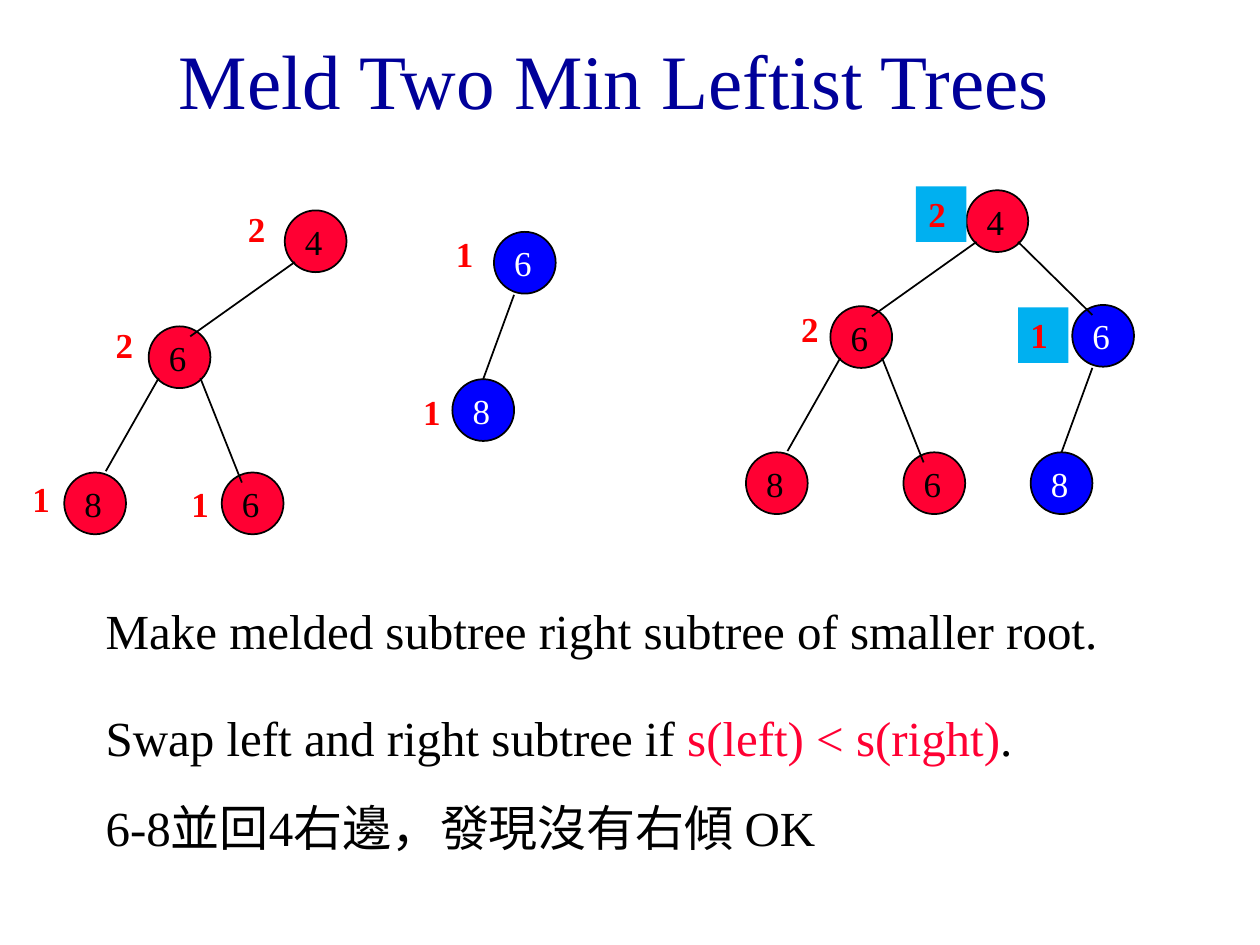
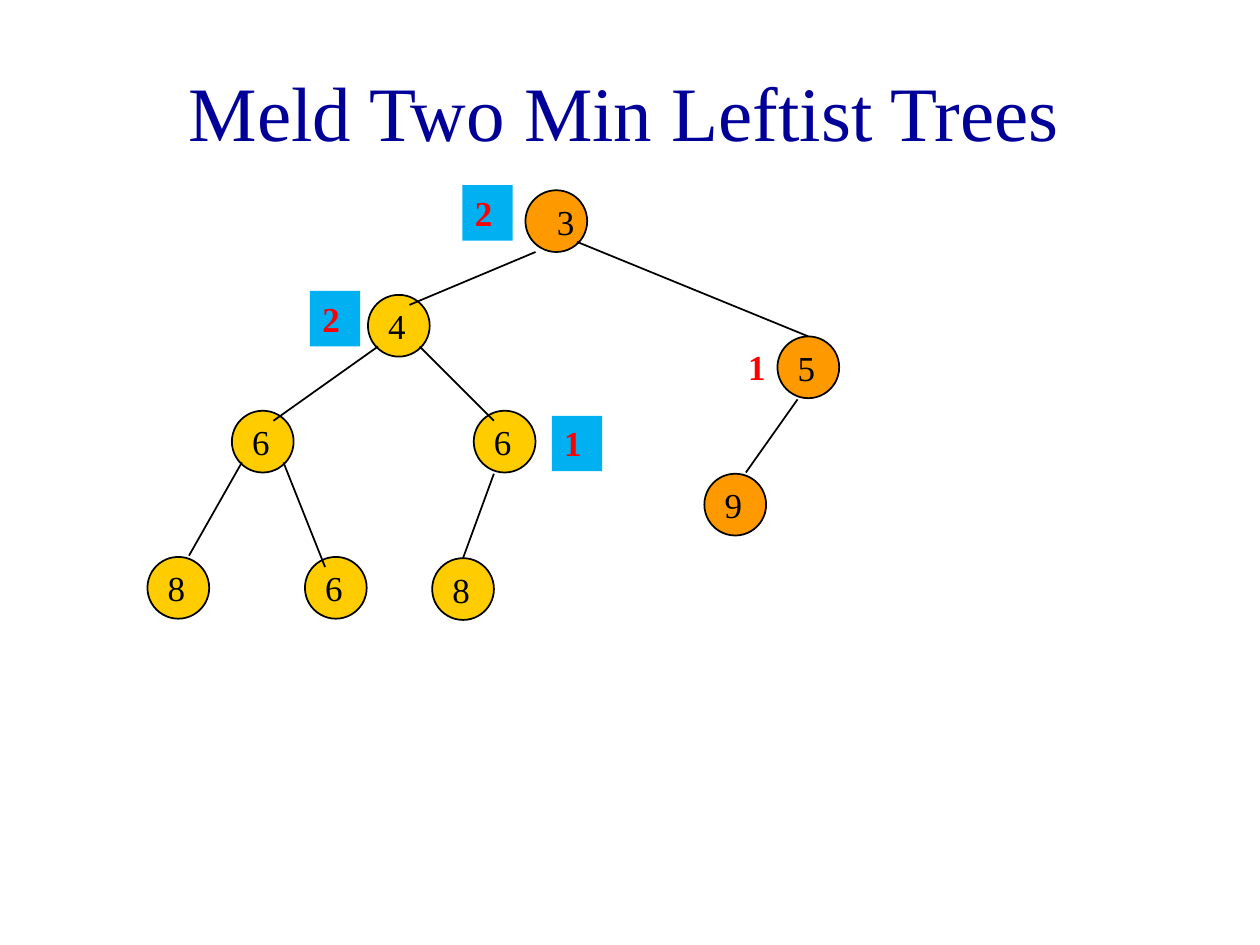
"""Build two slides that meld two min leftist trees."""
from dataclasses import dataclass

from lxml import etree
from pptx import Presentation
from pptx.dml.color import RGBColor
from pptx.enum.shapes import MSO_CONNECTOR, MSO_SHAPE
from pptx.enum.text import MSO_ANCHOR, PP_ALIGN
from pptx.oxml.ns import qn
from pptx.util import Inches, Pt

OVAL, RECT = MSO_SHAPE.OVAL, MSO_SHAPE.RECTANGLE
STRAIGHT = MSO_CONNECTOR.STRAIGHT
LEFT, CENTER = PP_ALIGN.LEFT, PP_ALIGN.CENTER
TOP, MIDDLE = MSO_ANCHOR.TOP, MSO_ANCHOR.MIDDLE


@dataclass(frozen=True)
class Theme:
    font: str = "Times New Roman"
    title: str = "000099"
    ink: str = "000000"
    white: str = "FFFFFF"
    red: str = "FF0033"
    blue: str = "0000FF"
    yellow: str = "FFCC00"
    orange: str = "FF9900"
    s_value: str = "FF0000"
    badge: str = "00B0F0"
    title_pt: int = 44
    body_pt: int = 28
    node_pt: int = 20
    body_gap_pt: float = 17.5


T = Theme()
TITLE = "Meld Two Min Leftist Trees"
TITLE_SIZE = (9.75, 1.25)
NODE = 0.49
S_SIZE = (0.4, 0.44)
BODY_SIZE = (8.75, 0.57)

PORTS = {
    "lower left": (0.08, 0.41), "lower right": (0.41, 0.41),
    "under left": (0.16, 0.5), "corner left": (0.08, 0.49),
    "upper left": (0.16, 0.08), "upper right": (0.33, 0.08),
    "above right": (0.33, -0.01), "top": (NODE / 2, 0),
}

# Each tree is (nodes: name -> (key, dx, dy), edges: (parent, child, port, port)).
FOUR = (
    {"root": ("4", 0, 0), "left": ("6", -1.08, 0.92),
     "left leaf": ("8", -1.75, 2.08), "right leaf": ("6", -0.5, 2.08)},
    [("root", "left", "lower left", "upper right"),
     ("left", "left leaf", "lower left", "above right"),
     ("left", "right leaf", "lower right", "upper left")],
)
SIX = (
    {"six": ("6", 0, 0), "eight": ("8", -0.33, 1.17)},
    [("six", "eight", "under left", "top")],
)
THREE = (
    {"three": ("3", 0, 0), "five": ("5", 2, 1.16), "nine": ("9", 1.42, 2.25)},
    [("three", "five", "lower right", "top"),
     ("five", "nine", "under left", "above right")],
)

SLIDES = [
    {
        "title_at": (0, 0),
        "trees": [(FOUR, "four", (2.26, 1.67), T.red, T.ink),
                  (SIX, "six", (3.92, 1.84), T.blue, T.white),
                  (FOUR, "meld", (7.67, 1.51), T.red, T.ink),
                  (SIX, "meld", (8.51, 2.42), T.blue, T.white)],
        "joins": [("meld root", "meld six", "lower right", "upper left")],
        "s_values": [("1", 3.52, 1.8), ("1", 3.26, 3.05), ("2", 1.87, 1.6),
                     ("2", 0.82, 2.52), ("1", 0.16, 3.74), ("1", 1.42, 3.78),
                     ("2", 6.26, 2.39)],
        "badges": [("1", 8.08, 2.44), ("2", 7.27, 1.48)],
        "body": [
            ((0.74, 4.72),
             [[("Make melded subtree right subtree of smaller root.", T.ink)]]),
            ((0.74, 5.57),
             [[("Swap left and right subtree if ", T.ink),
               ("s(left) < s(right)", T.red), (".", T.ink)],
              [("6-8並回4右邊，發現沒有右傾 OK", T.ink)]]),
        ],
    },
    {
        "title_at": (0.08, 0.25),
        "trees": [(THREE, "meld", (4.17, 1.51), T.orange, T.ink),
                  (FOUR, "meld", (2.92, 2.34), T.yellow, T.ink),
                  (SIX, "meld", (3.76, 3.26), T.yellow, T.ink)],
        "joins": [("meld three", "meld root", "corner left", "upper right"),
                  ("meld root", "meld six", "lower right", "upper left")],
        "s_values": [("1", 5.84, 2.69)],
        "badges": [("2", 2.46, 2.31), ("1", 4.38, 3.3), ("2", 3.67, 1.47)],
        "body": [],
    },
]


def rgb(color):
    return RGBColor.from_string(color)


def write(p, runs, size, bold=False, align=LEFT):
    for text, _ in runs:
        p.add_run().text = text
    p.alignment = align
    p.font.name, p.font.size, p.font.bold = T.font, Pt(size), bold
    if len(runs) == 1:
        p.font.color.rgb = rgb(runs[0][1])
    else:
        for r, (_, color) in zip(p.runs, runs):
            r.font.color.rgb = rgb(color)


def add_text(s, at, size, paragraphs, pt, bold=False, align=LEFT, anchor=TOP):
    sp = s.shapes.add_textbox(*map(Inches, (*at, *size)))
    tf = sp.text_frame
    tf.word_wrap, tf.vertical_anchor = True, anchor
    for i, runs in enumerate(paragraphs):
        p = tf.add_paragraph() if i else tf.paragraphs[0]
        if i:
            p.space_before = Pt(T.body_gap_pt)
        write(p, runs, pt, bold, align)
    return sp


def add_node(s, key, x, y, fill, ink):
    sp = s.shapes.add_shape(OVAL, *map(Inches, (x, y, NODE, NODE)))
    sp.shadow.inherit = False
    sp.fill.solid()
    sp.fill.fore_color.rgb = rgb(fill)
    sp.line.color.rgb, sp.line.width = rgb(T.ink), Pt(1)
    tf = sp.text_frame
    tf.word_wrap, tf.vertical_anchor = False, MIDDLE
    tf.margin_top = tf.margin_bottom = tf.margin_right = 0
    tf.margin_left = Inches(0.15 if key == "3" else 0)
    tf.margin_right = Inches(0 if key == "3" else 0.03)
    write(tf.paragraphs[0], [(key, ink)], T.node_pt, align=CENTER)
    return sp


def add_edge(s, nodes, parent, child, start, end):
    points = []
    for name, port in ((parent, start), (child, end)):
        dx, dy = PORTS[port]
        points += [nodes[name].left + Inches(dx), nodes[name].top + Inches(dy)]
    line = s.shapes.add_connector(STRAIGHT, *points)
    line.line.color.rgb, line.line.width = rgb(T.ink), Pt(1)
    etree.SubElement(line._element.spPr, qn("a:effectLst"))
    if end == "top":
        line.end_connect(nodes[child], 0)


def add_trees(s, trees, joins):
    nodes, edges = {}, list(joins)
    for (keys, links), tree, (x, y), fill, ink in trees:
        for name, (key, dx, dy) in keys.items():
            nodes[f"{tree} {name}"] = add_node(s, key, x + dx, y + dy, fill, ink)
        edges += [(f"{tree} {a}", f"{tree} {b}", *ports) for a, b, *ports in links]
    for edge in edges:
        add_edge(s, nodes, *edge)


def add_s_value(s, value, x, y, badge=False):
    sp = add_text(s, (x, y), S_SIZE, [[(value, T.s_value)]], T.node_pt, bold=True)
    if badge:
        sp.fill.solid()
        sp.fill.fore_color.rgb = rgb(T.badge)


def build_slide(prs, content):
    s = prs.slides.add_slide(prs.slide_layouts[6])
    add_text(s, content["title_at"], TITLE_SIZE, [[(TITLE, T.title)]],
             T.title_pt, align=CENTER, anchor=MIDDLE)
    add_trees(s, content["trees"], content["joins"])
    for at, paragraphs in content["body"]:
        add_text(s, at, BODY_SIZE, paragraphs, T.body_pt)
    for value in content["s_values"]:
        add_s_value(s, *value)
    for value in content["badges"]:
        add_s_value(s, *value, badge=True)


def main():
    prs = Presentation()
    prs.slide_width, prs.slide_height = Inches(10), Inches(7.5)
    for content in SLIDES:
        build_slide(prs, content)
    prs.save("out.pptx")


if __name__ == "__main__":
    main()
